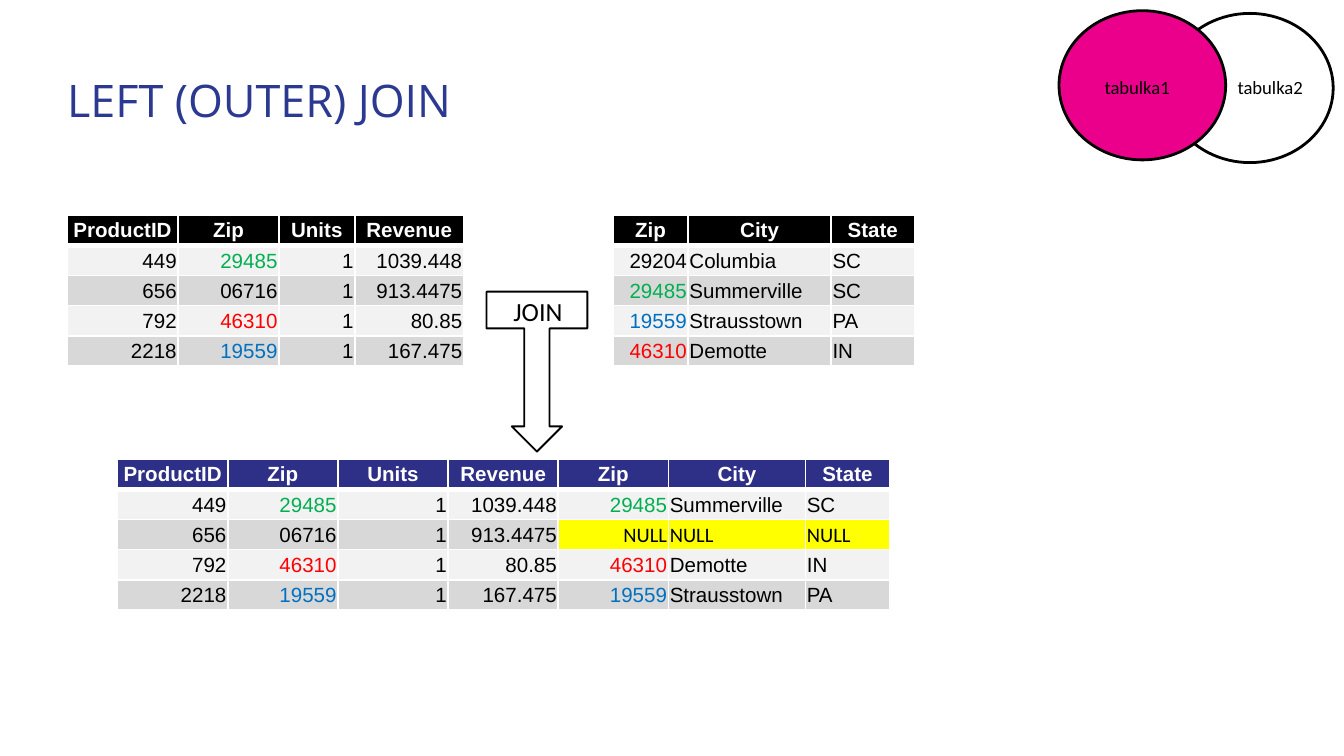
from typing import NamedTuple

from lxml.etree import SubElement
from pptx import Presentation
from pptx.dml.color import RGBColor
from pptx.enum.shapes import MSO_SHAPE as Preset
from pptx.enum.text import MSO_ANCHOR as Anchor, PP_ALIGN as Align
from pptx.oxml.ns import qn
from pptx.util import Emu, Pt

EMU_PER_PX = 4572  # 200 px to the inch
ROW_HEIGHT = 45
COLORS = {
    "black": "000000", "white": "FFFFFF", "title": "2B3990",
    "result": "2E2F86", "light": "F2F2F2", "dark": "D8D8D8",
    "missing": "FFFF00", "magenta": "EB008B",
    "green": "00B050", "red": "FF0000", "blue": "0070C0",
}
ZIP_COLORS = {"29485": "green", "46310": "red", "19559": "blue"}
LEFT_COLUMNS = {"City", "State"}
NULL = "NULL"


class Grid(NamedTuple):
    left: int
    top: int
    widths: list[int]
    header_color: str
    rows: list[list[str]]


class Figure(NamedTuple):
    preset: Preset
    left: int
    top: int
    width: int
    height: int
    fill: str | None
    line_width: float
    adjustments: tuple[float, ...] = ()


class Label(NamedTuple):
    text: str
    left: int
    top: int
    width: int
    height: int
    size: int
    margins: tuple[int, int]


PRODUCTS = [
    ["ProductID", "Zip", "Units", "Revenue"],
    ["449", "29485", "1", "1039.448"],
    ["656", "06716", "1", "913.4475"],
    ["792", "46310", "1", "80.85"],
    ["2218", "19559", "1", "167.475"],
]
PLACES = [
    ["Zip", "City", "State"],
    ["29204", "Columbia", "SC"],
    ["29485", "Summerville", "SC"],
    ["19559", "Strausstown", "PA"],
    ["46310", "Demotte", "IN"],
]


def px(value: int) -> Emu:
    return Emu(value * EMU_PER_PX)


def color(name: str) -> RGBColor:
    return RGBColor.from_string(COLORS[name])


def left_join(products: list[list[str]], places: list[list[str]]) -> list[list[str]]:
    by_zip = {row[0]: row for row in places}
    return [row + by_zip.get(row[1], [NULL] * len(places[0])) for row in products]


def set_margins(frame, left: int, top: int, right: int, bottom: int) -> None:
    margins = {"left": left, "top": top, "right": right, "bottom": bottom}
    for side, value in margins.items():
        setattr(frame, f"margin_{side}", px(value))


def write(para, text: str, font_color: str, **formats) -> None:
    span = para.add_run()
    span.text = text
    for name, value in formats.items():
        setattr(span.font, name, value)
    span.font.color.rgb = color(font_color)


def add_borders(cell, top: int, bottom: int) -> None:
    """Give the cell white borders, with widths in points."""
    properties = cell._tc.get_or_add_tcPr()
    widths = {"lnL": 1, "lnR": 1, "lnT": top, "lnB": bottom}
    for index, (tag, width) in enumerate(widths.items()):
        line = SubElement(properties, qn(f"a:{tag}"), w=str(Pt(width)))
        fill = SubElement(line, qn("a:solidFill"))
        SubElement(fill, qn("a:srgbClr"), val=COLORS["white"])
        properties.insert(index, line)


def fill_cell(cell, text: str, heading: str, row: int, header_color: str) -> None:
    is_header = row == 0
    if is_header:
        fill, font_color, align = header_color, "white", Align.CENTER
    else:
        fill = "missing" if text == NULL else "light" if row % 2 else "dark"
        font_color = ZIP_COLORS.get(text, "black")
        align = Align.LEFT if heading in LEFT_COLUMNS else Align.RIGHT
    cell.fill.solid()
    cell.fill.fore_color.rgb = color(fill)
    add_borders(cell, top=3 if row == 1 else 1, bottom=3 if is_header else 1)
    cell.vertical_anchor = Anchor.MIDDLE
    set_margins(cell, 2, 2, 2, 0)
    para = cell.text_frame.paragraphs[0]
    para.alignment = align
    write(para, text, font_color, size=Pt(11), bold=is_header,
          name="Calibri" if text == NULL else "Arial")


def add_grid(page, grid: Grid) -> None:
    count = len(grid.rows)
    table = page.shapes.add_table(
        count, len(grid.widths), px(grid.left), px(grid.top),
        px(sum(grid.widths)), px(count * ROW_HEIGHT)).table
    table.horz_banding = False
    for column, width in zip(table.columns, grid.widths):
        column.width = px(width)
    for row, values in enumerate(grid.rows):
        table.rows[row].height = px(ROW_HEIGHT)
        for column, text in enumerate(values):
            fill_cell(table.cell(row, column), text, grid.rows[0][column],
                      row, grid.header_color)


def add_figure(page, figure: Figure) -> None:
    shape = page.shapes.add_shape(figure.preset, *map(px, figure[1:5]))
    shape.shadow.inherit = False
    for index, value in enumerate(figure.adjustments):
        shape.adjustments[index] = value
    if figure.fill:
        shape.fill.solid()
        shape.fill.fore_color.rgb = color(figure.fill)
    else:
        shape.fill.background()
    shape.line.color.rgb = color("black")
    shape.line.width = Pt(figure.line_width)


def add_label(page, label: Label) -> None:
    frame = page.shapes.add_textbox(*map(px, label[1:5])).text_frame
    frame.word_wrap = True
    set_margins(frame, *label.margins, *label.margins)
    write(frame.paragraphs[0], label.text, "black", size=Pt(label.size), name="Calibri")


def add_title(page, text: str) -> None:
    title = page.shapes.title
    title.left, title.top, title.width, title.height = map(px, (100, 96, 1802, 100))
    frame = title.text_frame
    frame.vertical_anchor = Anchor.TOP
    set_margins(frame, 0, 0, 14, 14)
    para = frame.paragraphs[0]
    para.alignment = Align.LEFT
    para.line_spacing = 1.15
    write(para, text, "title", size=Pt(24), name="Open Sans")


def main() -> None:
    deck = Presentation()
    deck.slide_width, deck.slide_height = px(2000), px(1125)
    page = deck.slides.add_slide(deck.slide_layouts[5])
    add_title(page, "LEFT (OUTER) JOIN")
    for grid in (
        Grid(100, 320, [165, 150, 113, 162], "black", PRODUCTS),
        Grid(912, 320, [112, 213, 124], "black", PLACES),
        Grid(175, 683, [164] * 5 + [204, 125], "result", left_join(PRODUCTS, PLACES)),
    ):
        add_grid(page, grid)

    add_figure(page, Figure(Preset.DOWN_ARROW_CALLOUT, 724, 434, 150, 238, None, 1,
                            (0.25, 0.25, 0.25, 0.23)))
    add_label(page, Label("JOIN", 750, 432, 124, 60, 14, (14, 8)))
    add_figure(page, Figure(Preset.OVAL, 1736, 20, 248, 222, "white", 1.5))
    add_figure(page, Figure(Preset.OVAL, 1576, 16, 248, 222, "magenta", 1.5))
    for text, left in (("tabulka1", 1624), ("tabulka2", 1822)):
        add_label(page, Label(text, left, 96, 150, 60, 10, (20, 20)))
    deck.save("out.pptx")


if __name__ == "__main__":
    main()
